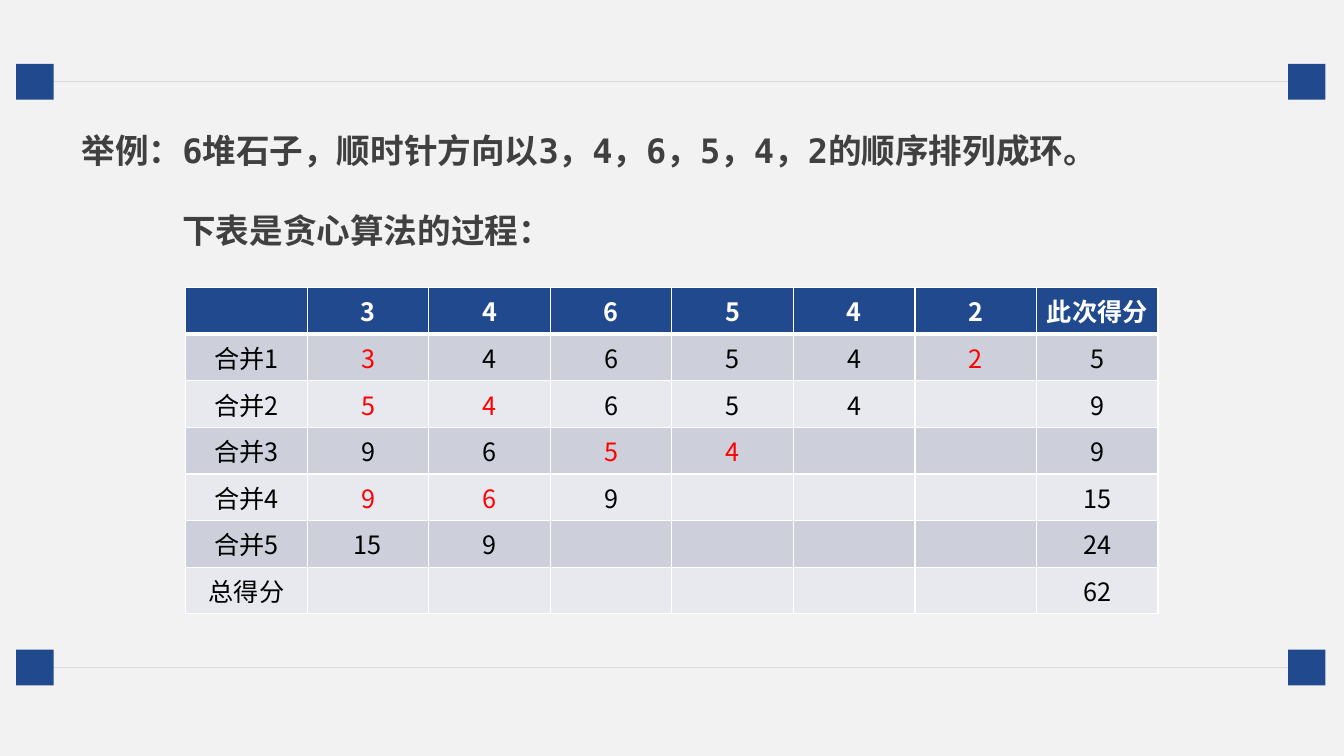
import pptx
import pptx.dml.color
import pptx.enum.shapes
import pptx.enum.text
import pptx.oxml.ns
import pptx.util
import lxml.etree

Pt = pptx.util.Pt
RGBColor = pptx.dml.color.RGBColor
qn = pptx.oxml.ns.qn
ALIGN = pptx.enum.text.PP_ALIGN
ANCHOR = pptx.enum.text.MSO_ANCHOR

BLUE = RGBColor(0x21, 0x49, 0x8E)
PAPER = RGBColor(0xF2, 0xF2, 0xF2)
RULE = RGBColor(0xD9, 0xD9, 0xD9)
INK = RGBColor(0x40, 0x40, 0x40)
WHITE = RGBColor(0xFF, 0xFF, 0xFF)
BLACK = RGBColor(0x00, 0x00, 0x00)
RED = RGBColor(0xFF, 0x00, 0x00)
DARK_BAND = RGBColor(0xCD, 0xD0, 0xDB)
LIGHT_BAND = RGBColor(0xE8, 0xE9, 0xEE)


def add_span(para, text, font_name, size, color, bold):
    span = para.add_run()
    span.text = text
    span.font.name = font_name
    span.font.size = Pt(size)
    span.font.bold = bold
    span.font.color.rgb = color
    east_asian = lxml.etree.SubElement(span.font._element, qn("a:ea"))
    east_asian.set("typeface", font_name)


def add_border(cell, side, width):
    properties = cell._tc.get_or_add_tcPr()
    line = lxml.etree.SubElement(properties, qn("a:ln" + side), w=str(Pt(width)))
    fill = lxml.etree.SubElement(line, qn("a:solidFill"))
    lxml.etree.SubElement(fill, qn("a:srgbClr"), val=str(WHITE))


deck = pptx.Presentation()
deck.slide_width = Pt(960)
deck.slide_height = Pt(540)
page = deck.slides.add_slide(deck.slide_layouts[5])
page.background.fill.solid()
page.background.fill.fore_color.rgb = PAPER

for rule_y in (58.2, 476.6):
    rule = page.shapes.add_connector(
        pptx.enum.shapes.MSO_CONNECTOR.STRAIGHT, Pt(30), Pt(rule_y), Pt(920), Pt(rule_y))
    rule.line.color.rgb = RULE
    rule.line.width = Pt(0.5)
    lxml.etree.SubElement(rule._element.spPr, qn("a:effectLst"))
    for corner_x in (11.5, 920):
        corner = page.shapes.add_shape(
            pptx.enum.shapes.MSO_SHAPE.RECTANGLE,
            Pt(corner_x), Pt(rule_y - 12.6), Pt(26.8), Pt(25.6))
        corner.shadow.inherit = False
        corner.fill.solid()
        corner.fill.fore_color.rgb = BLUE
        corner.line.fill.background()

scores = [
    ["", "3", "4", "6", "5", "4", "2", "此次得分"],
    ["合并1", "3", "4", "6", "5", "4", "2", "5"],
    ["合并2", "5", "4", "6", "5", "4", "", "9"],
    ["合并3", "9", "6", "5", "4", "", "", "9"],
    ["合并4", "9", "6", "9", "", "", "", "15"],
    ["合并5", "15", "9", "", "", "", "", "24"],
    ["总得分", "", "", "", "", "", "", "62"],
]
merged_piles = {(1, 1), (1, 6), (2, 1), (2, 2), (3, 3), (3, 4), (4, 1), (4, 2)}

table = page.shapes.add_table(7, 8, Pt(132.6), Pt(205.4), Pt(694.8), Pt(210)).table
for column in table.columns:
    column.width = Pt(86.85)
for row_index, row_scores in enumerate(scores):
    table.rows[row_index].height = Pt(30)
    header = row_index == 0
    band = BLUE if header else DARK_BAND if row_index % 2 else LIGHT_BAND
    for column_index, score in enumerate(row_scores):
        cell = table.cell(row_index, column_index)
        for side in "LRTB":
            under_header = (row_index, side) in ((0, "B"), (1, "T"))
            add_border(cell, side, 3 if under_header else 1)
        cell.fill.solid()
        cell.fill.fore_color.rgb = band
        cell.vertical_anchor = ANCHOR.MIDDLE
        para = cell.text_frame.paragraphs[0]
        para.alignment = ALIGN.CENTER
        if score:
            merged = (row_index, column_index) in merged_piles
            color = WHITE if header else RED if merged else BLACK
            add_span(para, score, "Noto Sans CJK SC", 18, color, header)

title = page.shapes.title
title.left, title.top, title.width, title.height = Pt(51), Pt(89.3), Pt(857.5), Pt(94.3)
frame = title.text_frame
frame.word_wrap = True
frame.auto_size = pptx.enum.text.MSO_AUTO_SIZE.NONE
frame.vertical_anchor = ANCHOR.TOP
example = frame.paragraphs[0]
process = frame.add_paragraph()
process.space_before = Pt(28.5)
process._p.get_or_add_pPr().set("marL", str(Pt(72)))
for para, text in (
    (example, "举例：6堆石子，顺时针方向以3，4，6，5，4，2的顺序排列成环。"),
    (process, "下表是贪心算法的过程："),
):
    para.alignment = ALIGN.LEFT
    add_span(para, text, "DejaVu Sans Mono", 24, INK, True)

deck.save("out.pptx")
